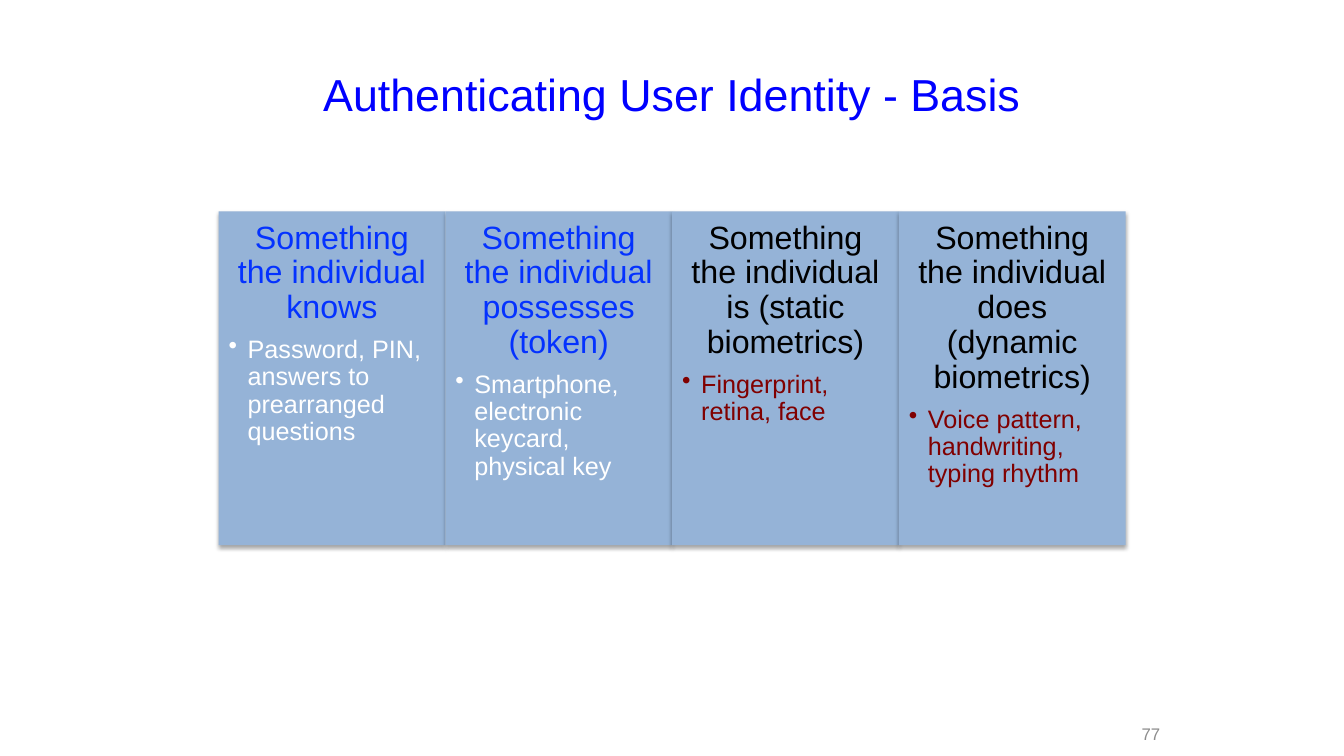
from lxml import etree
from pptx import Presentation
from pptx.dml.color import RGBColor
from pptx.enum.shapes import MSO_SHAPE
from pptx.enum.text import MSO_ANCHOR, PP_ALIGN
from pptx.oxml import parse_xml
from pptx.oxml.ns import nsdecls, qn
from pptx.util import Cm, Pt

RECTANGLE = MSO_SHAPE.RECTANGLE
TOP, MIDDLE = MSO_ANCHOR.TOP, MSO_ANCHOR.MIDDLE
LEFT, CENTER, RIGHT = PP_ALIGN.LEFT, PP_ALIGN.CENTER, PP_ALIGN.RIGHT

COLORS = {
    "title": "0000FF",
    "number": "8C8C8C",
    "panel": "95B3D7",
    "shadow": "000000",
    "blue": "0432FF",
    "black": "000000",
    "white": "FFFFFF",
    "maroon": "800000",
}
PANELS = [
    ("Something the individual knows",
     "Password, PIN, answers to prearranged questions", "blue", "white"),
    ("Something the individual possesses (token)",
     "Smartphone, electronic keycard, physical key", "blue", "white"),
    ("Something the individual is (static biometrics)",
     "Fingerprint, retina, face", "black", "maroon"),
    ("Something the individual does (dynamic biometrics)",
     "Voice pattern, handwriting, typing rhythm", "black", "maroon"),
]
PANEL_LEFT, PANEL_TOP, PANEL_WIDTH, PANEL_HEIGHT = 5.51, 5.33, 5.715, 8.41
INSET = 0.25
BULLET_INDENT = 0.48


def write(para, text, size, color, align=LEFT, line=None, after=0, bullet=False):
    if bullet:
        properties = para._p.get_or_add_pPr()
        properties.set("marL", str(Cm(BULLET_INDENT)))
        properties.set("indent", str(-Cm(BULLET_INDENT)))
        etree.SubElement(properties, qn("a:buChar")).set("char", "•")
    para.alignment = align
    para.space_before = Pt(0)
    para.space_after = Pt(after)
    if line:
        para.line_spacing = line
    span = para.add_run()
    span.text = text
    span.font.name = "Arial"
    span.font.size = Pt(size)
    span.font.color.rgb = RGBColor.from_string(COLORS[color])


class Page:
    """Adds styled elements to one blank slide."""

    def __init__(self, deck):
        self.shapes = deck.slides.add_slide(deck.slide_layouts[6]).shapes

    def label(self, text, left, top, width, height, **text_format):
        box = self.shapes.add_textbox(Cm(left), Cm(top), Cm(width), Cm(height))
        frame = box.text_frame
        frame.word_wrap = True
        frame.vertical_anchor = MIDDLE
        write(frame.paragraphs[0], text, **text_format)

    def panel(self, left, heading, example, heading_color, example_color):
        box = self.shapes.add_shape(
            RECTANGLE, Cm(left), Cm(PANEL_TOP), Cm(PANEL_WIDTH), Cm(PANEL_HEIGHT))
        box.fill.solid()
        box.fill.fore_color.rgb = RGBColor.from_string(COLORS["panel"])
        box.line.fill.background()
        self.cast_shadow(box)
        frame = box.text_frame
        frame.word_wrap = True
        frame.vertical_anchor = TOP
        frame.margin_left = frame.margin_right = Cm(INSET)
        frame.margin_top = frame.margin_bottom = Cm(INSET)
        write(frame.paragraphs[0], heading, 23, heading_color,
              align=CENTER, line=0.9, after=8)
        write(frame.add_paragraph(), example, 18, example_color,
              line=0.9, after=2.7, bullet=True)

    def cast_shadow(self, box):
        box._element.spPr.append(parse_xml(
            f'<a:effectLst {nsdecls("a")}>'
            f'<a:outerShdw blurRad="{Pt(3.1)}" dist="{Pt(1.8)}" dir="5400000" '
            f'rotWithShape="0"><a:srgbClr val="{COLORS["shadow"]}">'
            '<a:alpha val="35000"/></a:srgbClr></a:outerShdw></a:effectLst>'))


def main():
    deck = Presentation()
    deck.slide_width, deck.slide_height = Cm(33.87), Cm(19.05)
    page = Page(deck)
    page.label("Authenticating User Identity - Basis", 1.7, 0.76, 30.48, 3.18,
               size=32, color="title", align=CENTER)
    page.label("77", 27.76, 18.29, 1.73, 0.38, size=12, color="number", align=RIGHT)
    for index, panel in enumerate(PANELS):
        page.panel(PANEL_LEFT + index * PANEL_WIDTH, *panel)
    deck.save("out.pptx")


if __name__ == "__main__":
    main()
